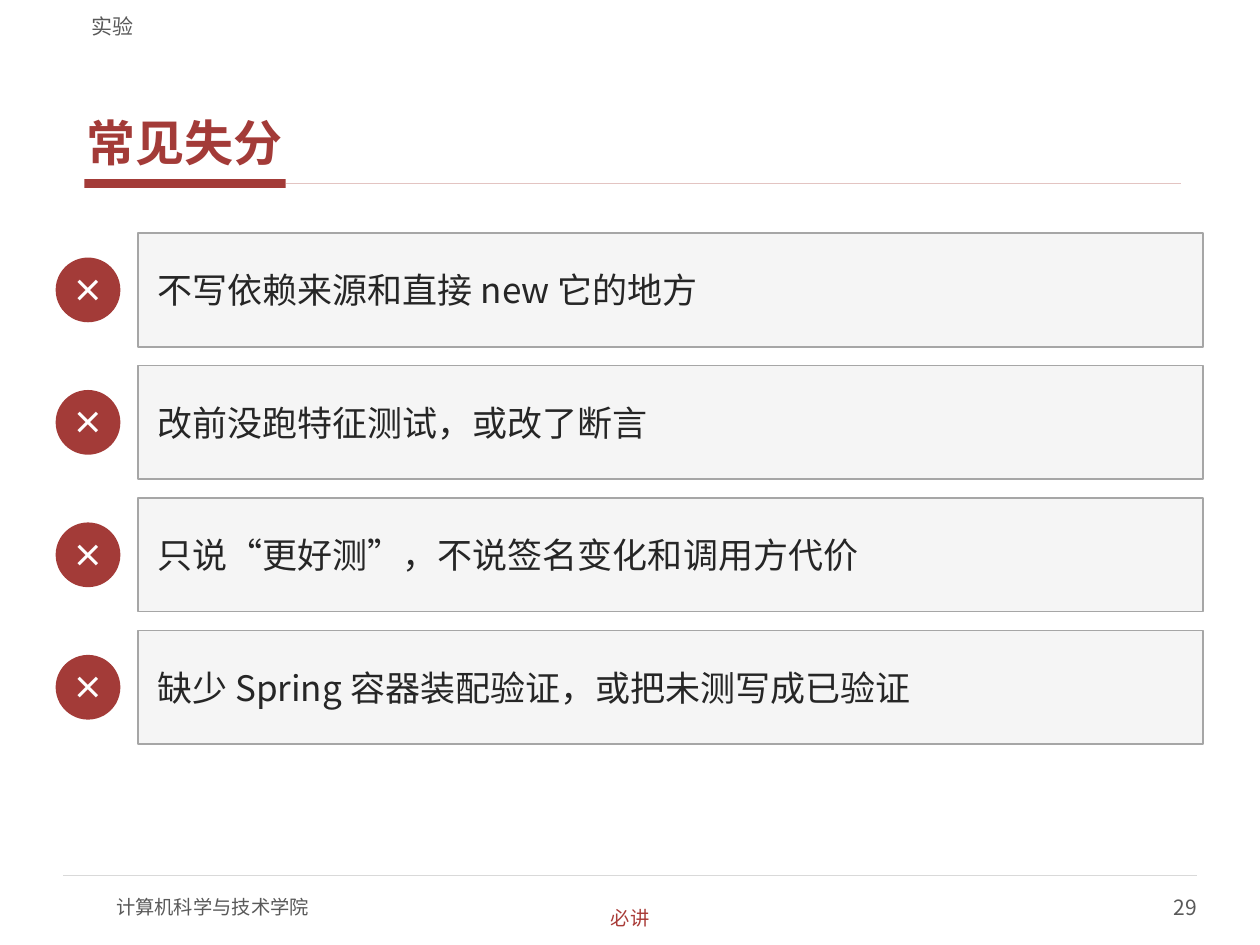
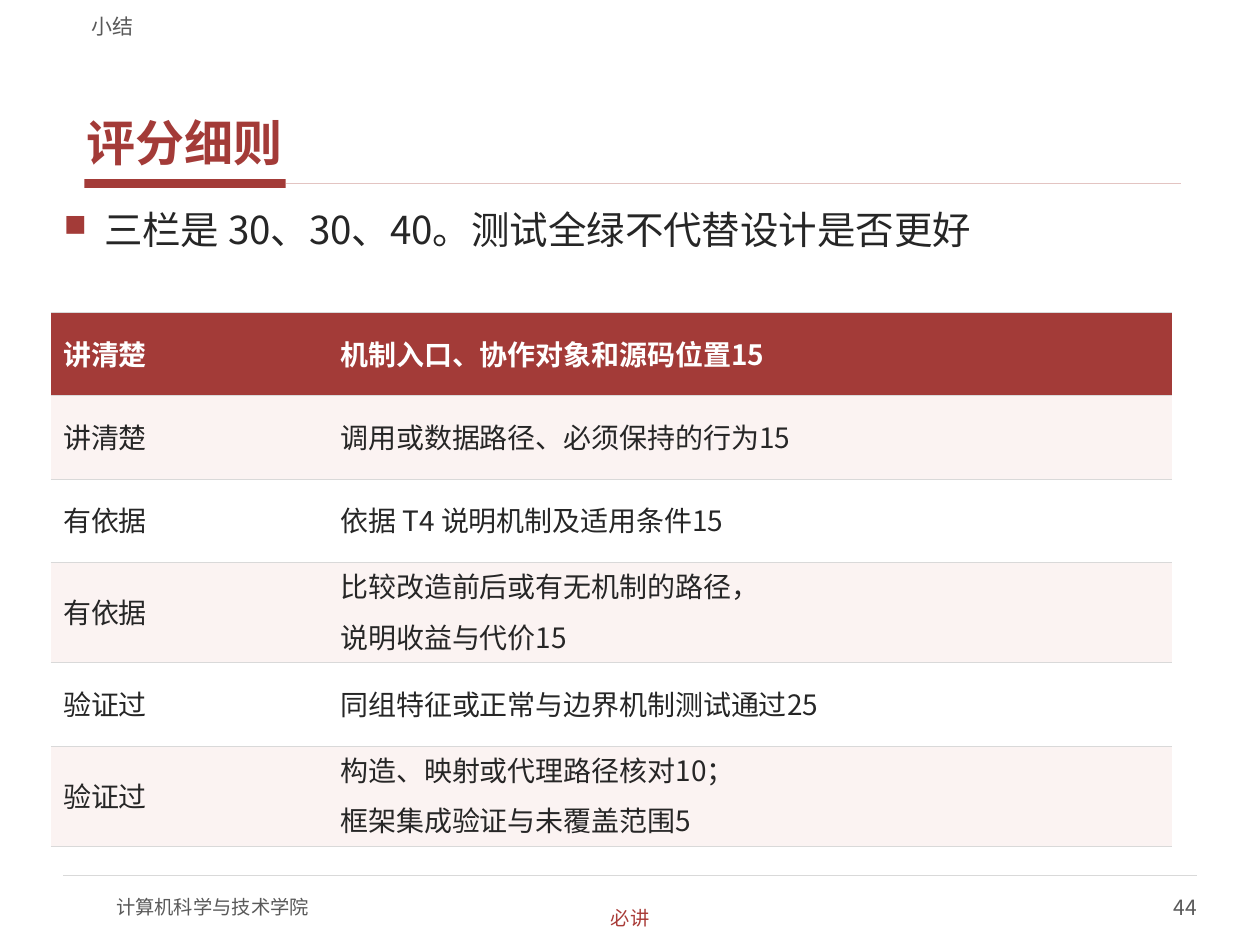
from lxml.etree import SubElement
from pptx import Presentation
from pptx.dml.color import RGBColor
from pptx.enum.shapes import MSO_CONNECTOR, MSO_SHAPE
from pptx.enum.text import MSO_ANCHOR, PP_ALIGN
from pptx.oxml.ns import qn
from pptx.util import Cm, Pt

FONT = "Noto Sans CJK SC"
RED = "A33B38"
TAG_RED = "A93B37"
PALE_RED = "E3C4C2"
ROW_TINT = "FBF3F2"
INK = "262626"
GREY = "595959"
RULE = "D9D9D9"
CARD_EDGE = "A6A6A6"
CARD_FILL = "F5F5F5"
WHITE = "FFFFFF"

MISTAKES = [
    "不写依赖来源和直接 new 它的地方",
    "改前没跑特征测试，或改了断言",
    "只说“更好测”，不说签名变化和调用方代价",
    "缺少 Spring 容器装配验证，或把未测写成已验证",
]
RUBRIC = [
    ("讲清楚", ["机制入口、协作对象和源码位置15"]),
    ("讲清楚", ["调用或数据路径、必须保持的行为15"]),
    ("有依据", ["依据 T4 说明机制及适用条件15"]),
    ("有依据", ["比较改造前后或有无机制的路径，", "说明收益与代价15"]),
    ("验证过", ["同组特征或正常与边界机制测试通过25"]),
    ("验证过", ["构造、映射或代理路径核对10；", "框架集成验证与未覆盖范围5"]),
]
ROW_HEIGHTS = {1: 1.68, 2: 2.02}


def rgb(color):
    return RGBColor.from_string(color)


def add_run(p, text, size, color, bold=False):
    r = p.add_run()
    r.text = text
    r.font.size = Pt(size)
    r.font.bold = bold
    r.font.name = FONT
    r.font.color.rgb = rgb(color)
    SubElement(r.font._element, qn("a:ea"), typeface=FONT)


def set_frame(tf, anchor, inset_x=0, inset_y=0, wrap=True):
    tf.word_wrap = wrap
    tf.vertical_anchor = anchor
    tf.margin_left = tf.margin_right = Cm(inset_x)
    tf.margin_top = tf.margin_bottom = Cm(inset_y)


def add_text(s, box, text, size, color, anchor=MSO_ANCHOR.MIDDLE, inset_x=0,
             inset_y=0, align=PP_ALIGN.LEFT, bold=False, wrap=True):
    tf = s.shapes.add_textbox(*map(Cm, box)).text_frame
    set_frame(tf, anchor, inset_x, inset_y, wrap)
    p = tf.paragraphs[0]
    p.alignment = align
    add_run(p, text, size, color, bold)
    return p


def add_block(s, kind, box, fill, edge=None):
    sp = s.shapes.add_shape(kind, *map(Cm, box))
    sp.shadow.inherit = False
    sp.fill.solid()
    sp.fill.fore_color.rgb = rgb(fill)
    if edge:
        sp.line.color.rgb = rgb(edge)
        sp.line.width = Pt(1)
    else:
        sp.line.fill.background()
    return sp


def add_rule(s, x1, x2, y, color, width):
    line = s.shapes.add_connector(MSO_CONNECTOR.STRAIGHT, Cm(x1), Cm(y), Cm(x2), Cm(y))
    line.line.color.rgb = rgb(color)
    line.line.width = Pt(width)
    SubElement(line._element.spPr, qn("a:effectLst"))


def add_page(prs, section, title, number):
    s = prs.slides.add_slide(prs.slide_layouts[6])
    add_block(s, MSO_SHAPE.RECTANGLE, (1.7, 3.61, 4.06, 0.18), RED)
    add_rule(s, 5.77, 23.8, 3.7, PALE_RED, 1)
    add_rule(s, 1.27, 24.13, 17.65, RULE, 0.75)
    add_text(s, (2.34, 17.78, 10.16, 1.02), "计算机科学与技术学院", 11, GREY)
    add_text(s, (19.05, 17.78, 5.08, 1.02), str(number), 12, GREY, align=PP_ALIGN.RIGHT)
    p = add_text(s, (1.6, 0.84, 22.23, 2.67), title, 28, RED, MSO_ANCHOR.BOTTOM,
                 0.15, 0.05, bold=True)
    p.space_after = Pt(2)
    add_text(s, (1.6, 0.1, 22.23, 0.69), section, 12, GREY, MSO_ANCHOR.BOTTOM, 0.25)
    add_text(s, (11.18, 18.24, 3.05, 0.53), "必讲", 11, TAG_RED,
             align=PP_ALIGN.CENTER, wrap=False)
    return s


def add_mistake(s, top, text):
    height, badge = 2.29, 1.27
    badge_top = top + (height - badge) / 2
    sp = add_block(s, MSO_SHAPE.OVAL, (1.14, badge_top, badge, badge), RED, RED)
    set_frame(sp.text_frame, MSO_ANCHOR.MIDDLE)
    p = sp.text_frame.paragraphs[0]
    p.alignment = PP_ALIGN.CENTER
    add_run(p, "×", 18, WHITE, True)

    sp = add_block(s, MSO_SHAPE.RECTANGLE, (2.79, top, 21.46, height), CARD_FILL, CARD_EDGE)
    set_frame(sp.text_frame, MSO_ANCHOR.MIDDLE, 0.38, 0.18)
    p = sp.text_frame.paragraphs[0]
    p.alignment = PP_ALIGN.LEFT
    add_run(p, text, 20, INK)


def add_bullet(s, box, text):
    p = add_text(s, box, text, 22, INK, MSO_ANCHOR.TOP, 0.15, 0.05)
    pPr = p._p.get_or_add_pPr()
    pPr.set("marL", str(Cm(0.81)))
    pPr.set("indent", str(-Cm(0.81)))
    SubElement(SubElement(pPr, qn("a:buClr")), qn("a:srgbClr"), val=RED)
    SubElement(pPr, qn("a:buSzPct"), val="80000")
    SubElement(pPr, qn("a:buChar"), char="■")
    p.space_after = Pt(2)


def set_borders(cell):
    tcPr = cell._tc.get_or_add_tcPr()
    for side in ("L", "R"):
        SubElement(SubElement(tcPr, qn(f"a:ln{side}"), w="0"), qn("a:noFill"))
    for side in ("T", "B"):
        ln = SubElement(tcPr, qn(f"a:ln{side}"), w=str(Pt(0.75)))
        SubElement(SubElement(ln, qn("a:solidFill")), qn("a:srgbClr"), val=RULE)


def fill_cell(cell, lines, fill, color, bold):
    set_borders(cell)
    cell.fill.solid()
    cell.fill.fore_color.rgb = rgb(fill)
    cell.vertical_anchor = MSO_ANCHOR.MIDDLE
    if len(lines) > 1:
        cell.margin_bottom = Cm(0.36)
    tf = cell.text_frame
    for i, line in enumerate(lines):
        p = tf.add_paragraph() if i else tf.paragraphs[0]
        p.line_spacing = 0.9
        p.space_before = Pt(6 if i else 0)
        p.space_after = Pt(2)
        add_run(p, line, 16, color, bold)


def add_rubric(s, left, top, widths):
    heights = [ROW_HEIGHTS[len(details)] for _, details in RUBRIC]
    table = s.shapes.add_table(len(RUBRIC), len(widths), Cm(left), Cm(top),
                               Cm(sum(widths)), Cm(sum(heights))).table
    for column, width in zip(table.columns, widths):
        column.width = Cm(width)
    for i, (criterion, details) in enumerate(RUBRIC):
        table.rows[i].height = Cm(heights[i])
        header = i == 0
        fill = RED if header else ROW_TINT if i % 2 else WHITE
        for j, lines in enumerate(([criterion], details)):
            fill_cell(table.cell(i, j), lines, fill, WHITE if header else INK, header)


def main():
    prs = Presentation()
    prs.slide_width, prs.slide_height = Cm(25.4), Cm(19.05)

    s = add_page(prs, "实验", "常见失分", 29)
    for i, text in enumerate(MISTAKES):
        add_mistake(s, 4.7 + i * 2.67, text)

    s = add_page(prs, "小结", "评分细则", 44)
    add_bullet(s, (1.14, 4.11, 23.11, 1.98), "三栏是 30、30、40。测试全绿不代替设计是否更好")
    add_rubric(s, 1.02, 6.3, (5.59, 17.02))

    prs.save("out.pptx")


if __name__ == "__main__":
    main()
